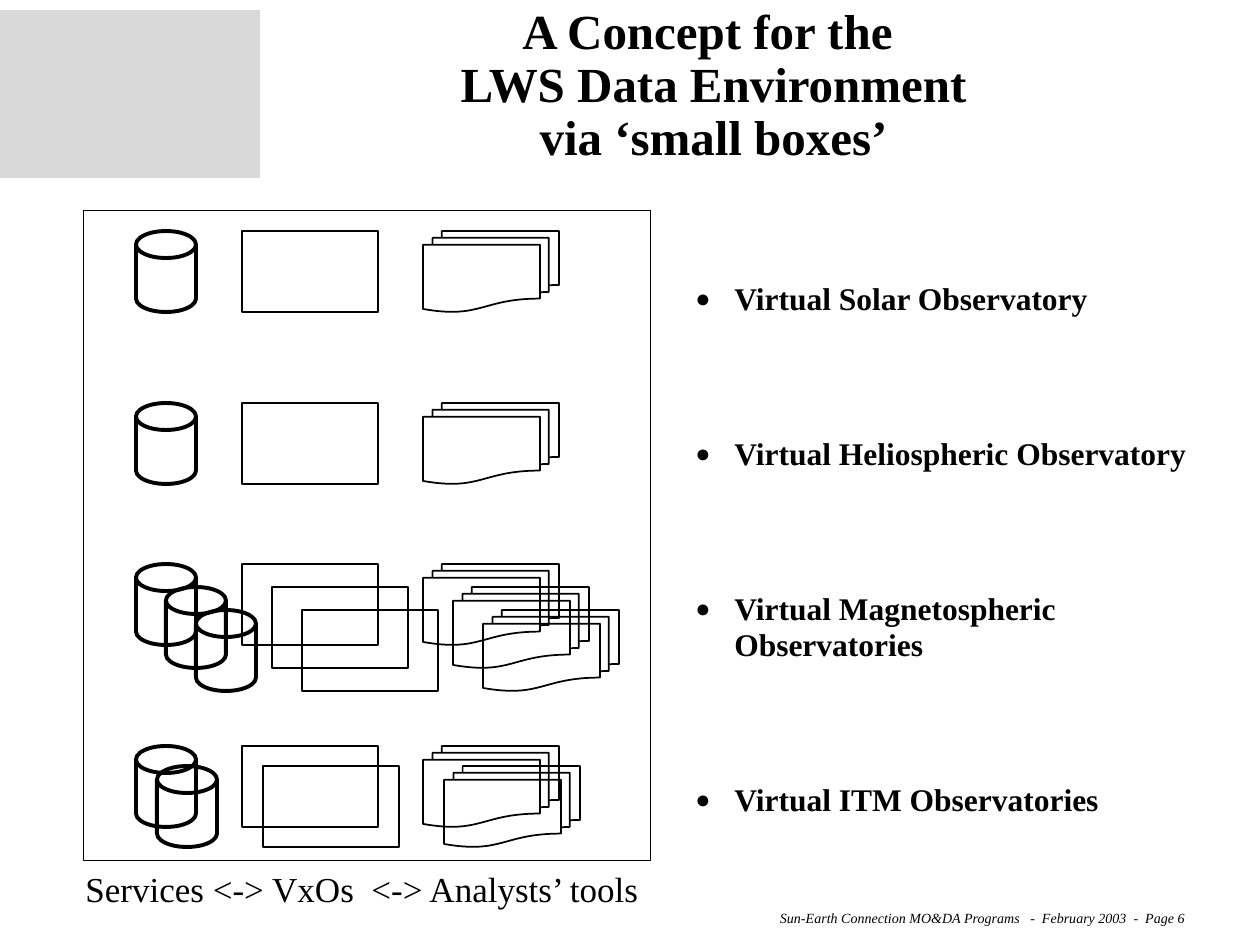
from pptx import Presentation
from pptx.dml.color import RGBColor
from pptx.enum.shapes import MSO_SHAPE
from pptx.enum.text import MSO_ANCHOR, PP_ALIGN
from pptx.oxml import parse_xml
from pptx.oxml.ns import nsdecls
from pptx.util import Emu, Pt

PX = 914400 / 126
BLACK = RGBColor(0, 0, 0)
LIGHT_GREY = RGBColor(0xD9, 0xD9, 0xD9)
SERIF = "Times New Roman"

RECTANGLE = MSO_SHAPE.RECTANGLE
DISK = MSO_SHAPE.FLOWCHART_MAGNETIC_DISK
DOCUMENTS = MSO_SHAPE.FLOWCHART_MULTIDOCUMENT
LEFT, CENTER, RIGHT = PP_ALIGN.LEFT, PP_ALIGN.CENTER, PP_ALIGN.RIGHT
TOP, MIDDLE = MSO_ANCHOR.TOP, MSO_ANCHOR.MIDDLE

# Kind, left, width and line weight of the symbols in one set
SYMBOLS = [
    (RECTANGLE, 242, 136, 1.5),
    (DISK, 136, 60, 2.25),
    (DOCUMENTS, 423, 136, 1),
]
SYMBOL_HEIGHT = 81
# Top of each row, number of sets, step right and step down between sets
ROWS = [(231, 1, 0, 0), (403, 1, 0, 0), (564, 3, 30, 23), (746, 2, 21, 20)]

TITLE_LINES = ["A Concept for the ", "LWS Data Environment", "via ‘small boxes’"]
OBSERVATORIES = [
    "Virtual Solar Observatory",
    "Virtual Heliospheric Observatory",
    "Virtual Magnetospheric Observatories",
    "Virtual ITM Observatories",
]


def px(length):
    return Emu(round(length * PX))


def add_outline(page, kind, left, top, width, height, weight):
    shape = page.shapes.add_shape(kind, px(left), px(top), px(width), px(height))
    shape.shadow.inherit = False
    shape.fill.background()
    shape.line.color.rgb = BLACK
    shape.line.width = Pt(weight)
    return shape


def add_text_frame(page, left, top, width, height, anchor=TOP, wrap=True):
    box = page.shapes.add_textbox(px(left), px(top), px(width), px(height))
    frame = box.text_frame
    frame.word_wrap = wrap
    frame.vertical_anchor = anchor
    return frame


def style(para, size, align=LEFT, bold=False, italic=False):
    para.alignment = align
    font = para.font
    font.name = SERIF
    font.size = Pt(size)
    font.bold = bold
    font.italic = italic
    font.color.rgb = BLACK


def add_bullet(para, indent):
    props = para._p.get_or_add_pPr()
    props.set("marL", str(px(indent)))
    props.set("indent", str(px(-indent)))
    for element in (
        f'<a:buClr {nsdecls("a")}><a:srgbClr val="{BLACK}"/></a:buClr>',
        f'<a:buSzPct {nsdecls("a")} val="80000"/>',
        f'<a:buFont {nsdecls("a")} typeface="{SERIF}"/>',
        f'<a:buChar {nsdecls("a")} char="●"/>',
    ):
        props.append(parse_xml(element))


def add_emblem(page):
    emblem = add_outline(page, RECTANGLE, 0, 10, 260, 168, 1)
    emblem.fill.solid()
    emblem.fill.fore_color.rgb = LIGHT_GREY
    emblem.line.fill.background()


def add_title(page):
    para = add_text_frame(page, 262, 0, 903, 174, MIDDLE).paragraphs[0]
    for number, line in enumerate(TITLE_LINES):
        if number:
            para.add_line_break()
        para.add_run().text = line
    para.line_spacing = 0.9
    style(para, 28, CENTER, bold=True)


def add_observatories(page):
    frame = add_text_frame(page, 683, 199, 557, 703, MIDDLE)
    for number, name in enumerate(OBSERVATORIES):
        para = frame.add_paragraph() if number else frame.paragraphs[0]
        para.text = name
        add_bullet(para, 39)
        para.line_spacing = 0.95
        para.space_before = Pt(68 if number else 0)
        style(para, 18, bold=True)


def add_symbol_row(page, top, count, step_right, step_down):
    for number in range(count):
        for kind, left, width, weight in SYMBOLS:
            add_outline(page, kind, left + number * step_right,
                        top + number * step_down, width, SYMBOL_HEIGHT, weight)


def add_line_of_text(page, text, left, top, width, height, size, **look):
    para = add_text_frame(page, left, top, width, height, wrap=False).paragraphs[0]
    para.text = text
    style(para, size, **look)


def main():
    deck = Presentation()
    deck.slide_width, deck.slide_height = px(1260), px(945)
    page = deck.slides.add_slide(deck.slide_layouts[6])

    # Footer and header
    add_line_of_text(page, "Sun-Earth Connection MO&DA Programs   -  February 2003  -  Page 6",
                     712, 903, 486, 29, 8, align=RIGHT, italic=True)
    add_emblem(page)
    add_title(page)

    # List of observatories
    add_observatories(page)

    # Diagram of services, boxes and tools
    add_line_of_text(page, "Services <-> VxOs  <-> Analysts’ tools", 73, 861, 583, 55, 20)
    add_outline(page, RECTANGLE, 84, 210, 567, 651, 0.5)
    for row in ROWS:
        add_symbol_row(page, *row)

    deck.save("out.pptx")


if __name__ == "__main__":
    main()
